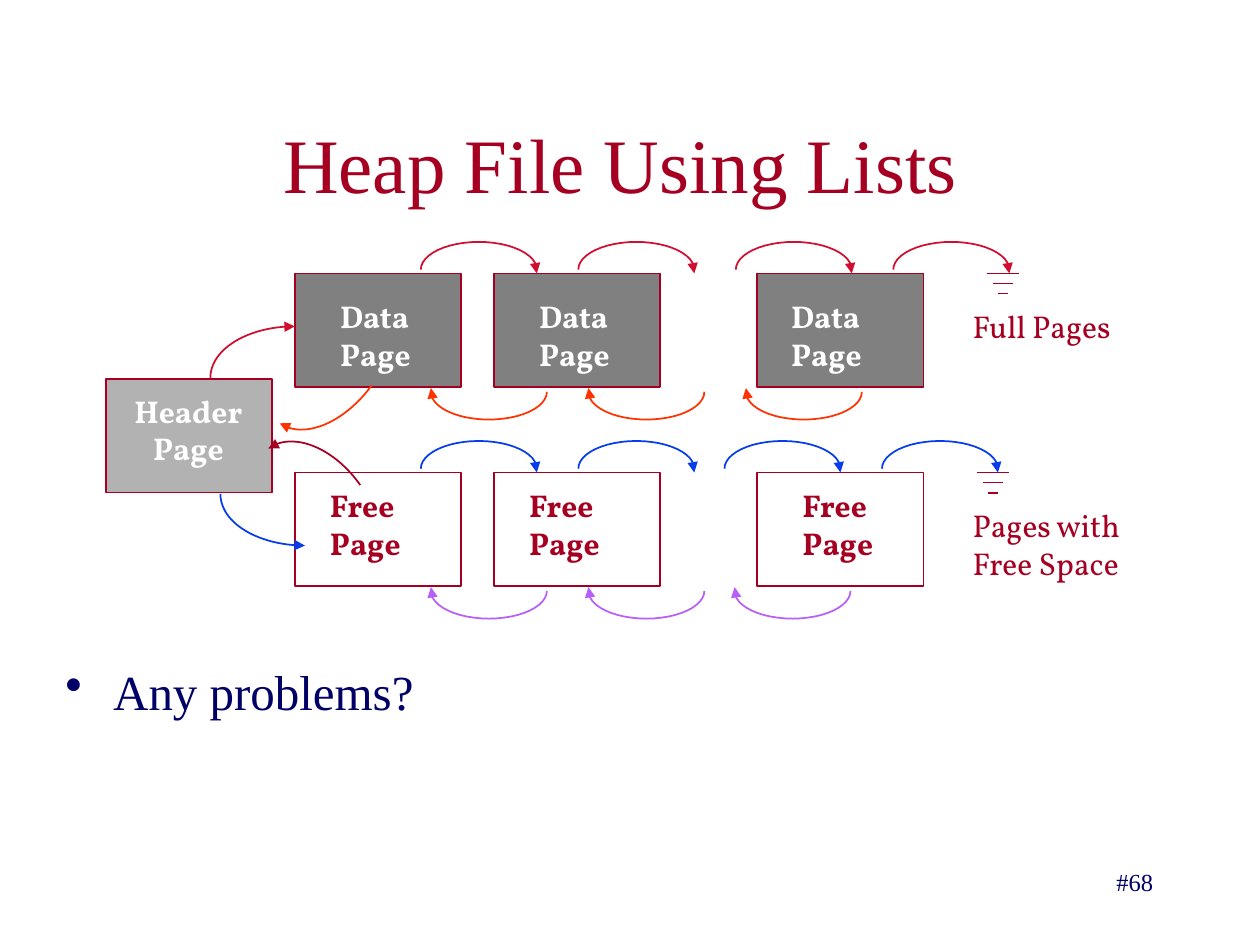
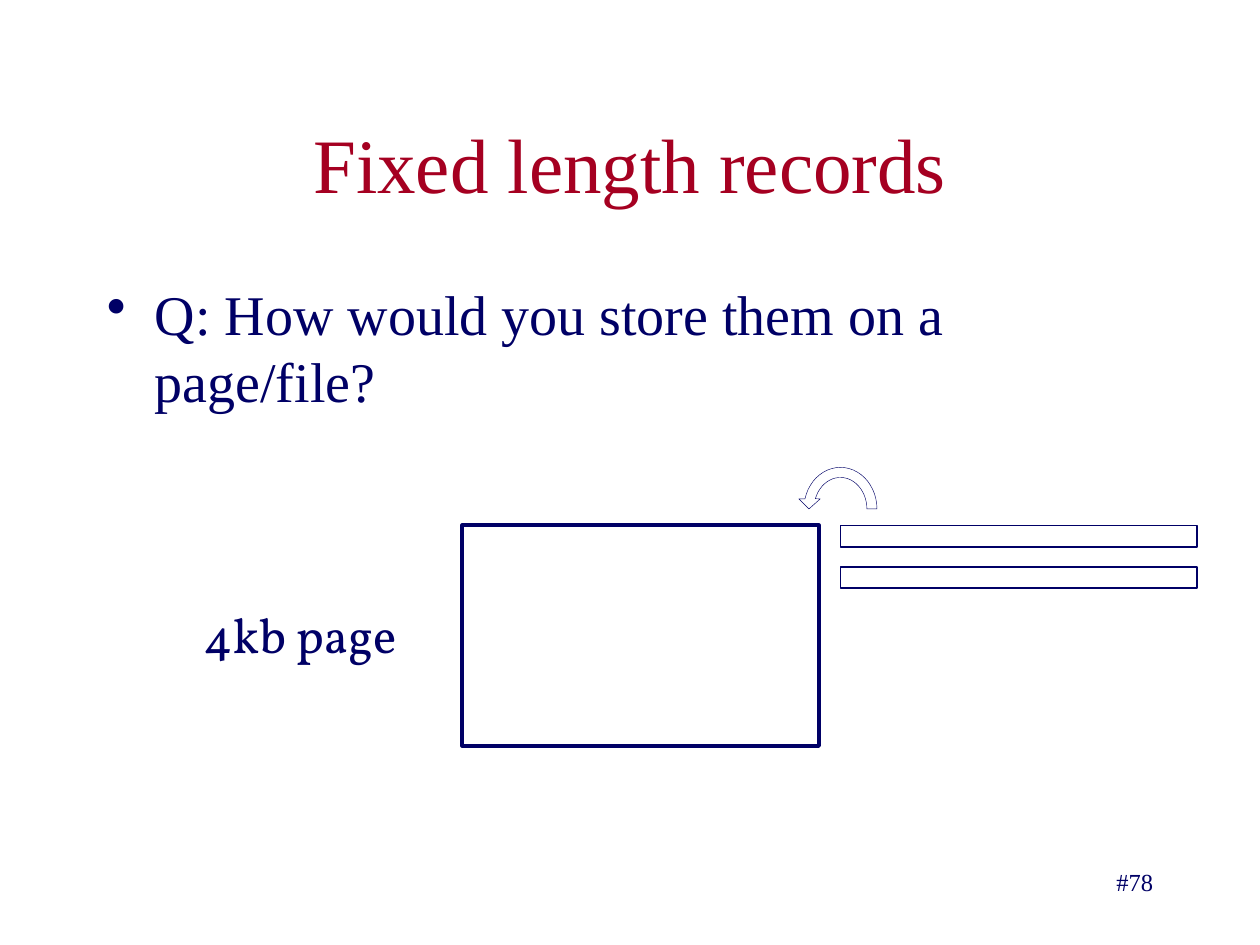
from math import cos, pi, radians, sin

from lxml import etree
from pptx import Presentation
from pptx.dml.color import RGBColor
from pptx.enum.shapes import MSO_CONNECTOR, MSO_SHAPE
from pptx.enum.text import MSO_ANCHOR, PP_ALIGN
from pptx.oxml.ns import qn
from pptx.util import Inches, Pt

RECTANGLE = MSO_SHAPE.RECTANGLE
STRAIGHT = MSO_CONNECTOR.STRAIGHT
MIDDLE = MSO_ANCHOR.MIDDLE
LEFT, CENTER, RIGHT = PP_ALIGN.LEFT, PP_ALIGN.CENTER, PP_ALIGN.RIGHT

COLORS = {
    "navy": "000066", "maroon": "A50021", "white": "FFFFFF",
    "gray": "808080", "silver": "B2B2B2", "red": "CF0E30",
    "orange": "FF3300", "blue": "063DE8", "violet": "B760F9",
}
SERIF, LABEL_FONT = "Times New Roman", "Vollkorn"

# Heap file: two page lists, lengths in inches
PAGE_SIZE = (1.32, 0.9)
PAGE_LEFTS = (2.34, 3.92, 6.01)
PAGE_LISTS = [
    {
        "top": 2.17, "label": ["Data", "Page"], "fill": "gray", "text": "white",
        "label_drop": 0.14, "label_shifts": (0.26, 0.26, 0.17),
        "next": ("red", (3.34, 4.59, 5.84, 7.09)),
        "previous": ("orange", (4.34, 5.59, 6.84)),
        "ground": 7.96, "caption": ["Full Pages"], "caption_top": 2.39,
    },
    {
        "top": 3.75, "label": ["Free", "Page"], "fill": None, "text": "maroon",
        "label_drop": 0.06, "label_shifts": (0.18, 0.18, 0.26),
        "next": ("blue", (3.34, 4.59, 5.75, 7.0)),
        "previous": ("violet", (4.34, 5.59, 6.75)),
        "ground": 7.88, "caption": ["Pages with", "Free Space"], "caption_top": 3.97,
    },
]
HEADER_LABEL, HEADER_AT = ["Header", "Page"], (0.84, 3.01)
# Start, two control points and end of each link at the header page
HEADER_LINKS = [
    ("red", [(1.67, 3), (1.67, 2.77), (1.97, 2.59), (2.34, 2.59)]),
    ("orange", [(2.95, 3.06), (2.73, 3.36), (2.41, 3.49), (2.22, 3.36)]),
    ("maroon", [(2.86, 3.85), (2.65, 3.55), (2.32, 3.42), (2.13, 3.56)]),
    ("blue", [(1.75, 3.92), (1.75, 4.15), (2.05, 4.33), (2.42, 4.33)]),
]
HOP_RADII, HOP_TIP = (0.46, 0.22), 0.03
GROUND_WIDTHS, GROUND_STEP = (0.25, 0.16, 0.08), 0.08
CURVE_STEPS = 24

# Fixed length records: the page, then the records beside it
PAGE_AND_RECORDS = [
    ((3.67, 4.17, 2.83, 1.75), 2.25),
    ((6.67, 4.17, 2.83, 0.17), 1),
    ((6.67, 4.5, 2.83, 0.17), 1),
]


def rgb(name):
    return RGBColor.from_string(COLORS[name])


def write(shape, lines, size, color, font=SERIF, bold=False, align=LEFT):
    frame = shape.text_frame
    frame.text = "\n".join(lines)
    for paragraph in frame.paragraphs:
        paragraph.alignment = align
        for run in paragraph.runs:
            run.font.size, run.font.name, run.font.bold = Pt(size), font, bold
            run.font.color.rgb = rgb(color)
    return frame


def add_text(slide, box, lines, size, color, wrap=False, **style):
    shape = slide.shapes.add_textbox(*map(Inches, box))
    frame = write(shape, lines, size, color, **style)
    frame.word_wrap = wrap
    return frame


def add_label(slide, left, top, lines, color, width=0.82, **style):
    box = (left, top, width, 0.1 + 0.3 * len(lines))
    add_text(slide, box, lines, 18, color, font=LABEL_FONT, **style)


def add_bullet(slide, box, text, size, line_spacing=1.0):
    paragraph = add_text(slide, box, [text], size, "navy", wrap=True).paragraphs[0]
    paragraph.line_spacing = line_spacing
    properties = paragraph._p.get_or_add_pPr()
    properties.set("marL", str(Inches(0.38)))
    properties.set("indent", str(-Inches(0.38)))
    etree.SubElement(properties, qn("a:buChar")).set("char", "•")


def outline(shape, color, width=1, fill=None):
    shape.shadow.inherit = False
    shape.line.color.rgb = rgb(color)
    shape.line.width = Pt(width)
    if fill:
        shape.fill.solid()
        shape.fill.fore_color.rgb = rgb(fill)
    else:
        shape.fill.background()


def add_box(slide, box, color, width=1, fill=None):
    shape = slide.shapes.add_shape(RECTANGLE, *map(Inches, box))
    outline(shape, color, width, fill)


def add_path(slide, points, color, width=1, closed=False):
    points = [(Inches(x), Inches(y)) for x, y in points]
    builder = slide.shapes.build_freeform(*points[0])
    builder.add_line_segments(points[1:], close=closed)
    shape = builder.convert_to_shape()
    outline(shape, color, width)
    if not closed:
        etree.SubElement(shape.line._get_or_add_ln(), qn("a:tailEnd")).set("type", "triangle")


def bezier(start, control_1, control_2, end):
    for step in range(CURVE_STEPS + 1):
        t = step / CURVE_STEPS
        weights = ((1 - t) ** 3, 3 * t * (1 - t) ** 2, 3 * t * t * (1 - t), t ** 3)
        yield tuple(sum(w * p for w, p in zip(weights, axis))
                    for axis in zip(start, control_1, control_2, end))


def ellipse_arc(center, radii, first, last):
    for step in range(CURVE_STEPS + 1):
        angle = first + (last - first) * step / CURVE_STEPS
        yield center[0] + radii[0] * cos(angle), center[1] - radii[1] * sin(angle)


def add_hop(slide, x, y, direction, color):
    """Half ellipse: over the top rightwards (1) or underneath leftwards (-1)."""
    radius_x, radius_y = HOP_RADII
    center = (x + direction * radius_x, y)
    radii = (direction * radius_x, direction * radius_y)
    points = list(ellipse_arc(center, radii, pi, 0))
    points.append((x + 2 * direction * radius_x, y + direction * HOP_TIP))
    add_path(slide, points, color)


def add_ground(slide, center, top):
    for row, width in enumerate(GROUND_WIDTHS):
        y = Inches(top + row * GROUND_STEP)
        line = slide.shapes.add_connector(
            STRAIGHT, Inches(center - width / 2), y, Inches(center + width / 2), y)
        line.line.color.rgb = rgb("maroon")
        line.line.width = Pt(1)
        etree.SubElement(line._element.spPr, qn("a:effectLst"))


def add_slide(presentation, title_text, number):
    slide = presentation.slides.add_slide(presentation.slide_layouts[5])
    title = slide.shapes.title
    title.left, title.top, title.width, title.height = map(Inches, (0.75, 0.67, 8.5, 1.25))
    write(title, [title_text], 44, "maroon", align=CENTER).vertical_anchor = MIDDLE
    add_text(slide, (7.17, 6.83, 2.08, 0.5), [number], 14, "navy", wrap=True, align=RIGHT)
    return slide


def add_page_list(slide, pages):
    top, bottom = pages["top"], pages["top"] + PAGE_SIZE[1]
    for left, shift in zip(PAGE_LEFTS, pages["label_shifts"]):
        add_box(slide, (left, top, *PAGE_SIZE), "maroon", fill=pages["fill"])
        add_label(slide, left + shift, top + pages["label_drop"], pages["label"],
                  pages["text"], bold=True)
    for (color, starts), y, direction in (
            (pages["next"], top - HOP_TIP, 1), (pages["previous"], bottom + 0.04, -1)):
        for x in starts:
            add_hop(slide, x, y, direction, color)
    add_ground(slide, pages["ground"], top)
    add_label(slide, 7.62, pages["caption_top"], pages["caption"], "maroon", width=1.48)


def build_heap_file(presentation):
    slide = add_slide(presentation, "Heap File Using Lists ", "#68")
    add_bullet(slide, (0.42, 5.25, 8.42, 0.68), "Any problems?", 28, 0.9)
    for pages in PAGE_LISTS:
        add_page_list(slide, pages)
    left, top = HEADER_AT
    add_box(slide, (left, top, *PAGE_SIZE), "maroon", fill="silver")
    add_label(slide, left + 0.1, top + 0.05, HEADER_LABEL, "white", width=1.11,
              bold=True, align=CENTER)
    for color, controls in HEADER_LINKS:
        add_path(slide, list(bezier(*controls)), color)


def build_fixed_records(presentation):
    slide = add_slide(presentation, "Fixed length records", "#78")
    add_bullet(slide, (0.75, 2.17, 8.5, 4.5),
               "Q: How would you store them on a page/file?", 32)
    for box, width in PAGE_AND_RECORDS:
        add_box(slide, box, "navy", width)
    # Curved block arrow from the records into the page
    center = (6.67, 4.04)
    outer = ellipse_arc(center, (0.29, 0.33), 0, radians(166))
    inner = ellipse_arc(center, (0.21, 0.25), radians(161), 0)
    head = [(6.34, 3.96), (6.42, 4.04), (6.51, 3.96)]
    add_path(slide, [*outer, *head, *inner], "navy", 0.25, closed=True)
    add_text(slide, (1.44, 4.75, 1.88, 0.57), ["4kb page"], 28, "navy",
             font=LABEL_FONT, align=CENTER)


def main():
    presentation = Presentation()
    presentation.slide_width, presentation.slide_height = Inches(10), Inches(7.5)
    build_heap_file(presentation)
    build_fixed_records(presentation)
    presentation.save("out.pptx")


if __name__ == "__main__":
    main()
